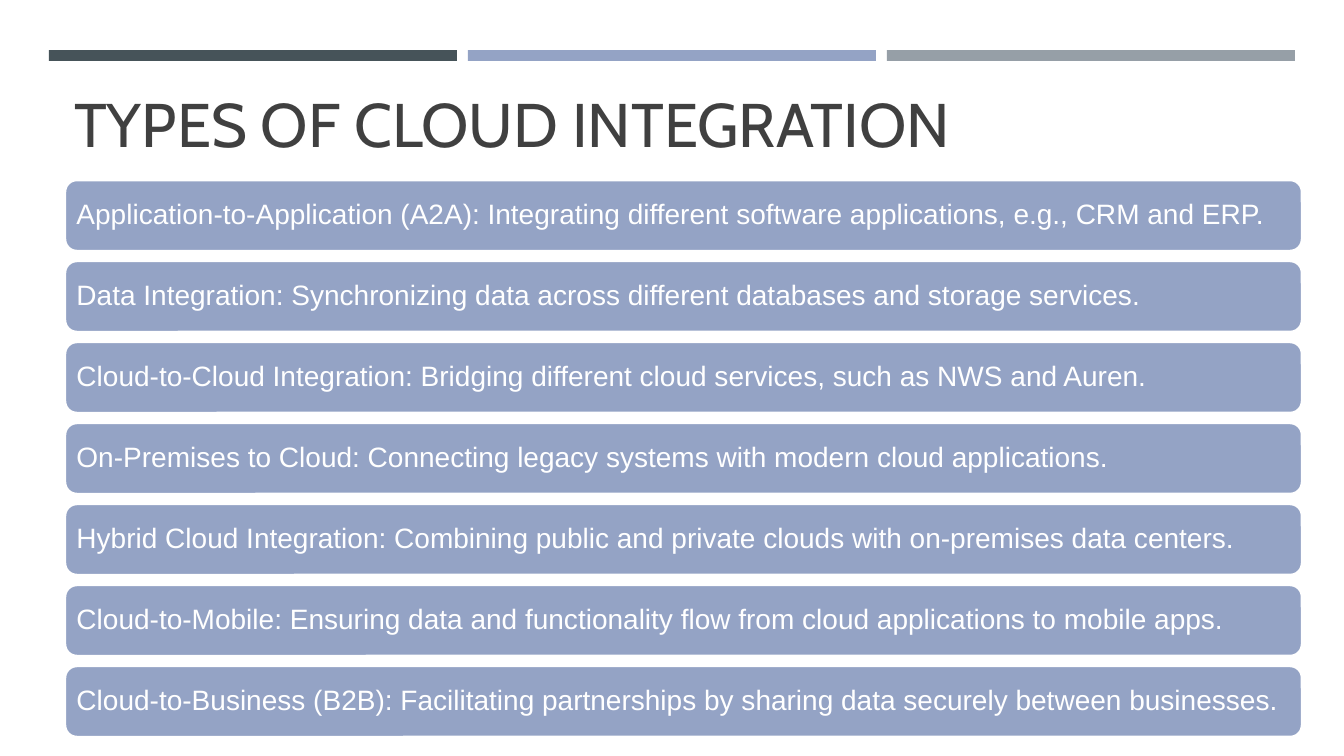
from pptx import Presentation
from pptx.dml.color import RGBColor
from pptx.enum.shapes import MSO_SHAPE as SHAPE
from pptx.enum.text import MSO_ANCHOR as ANCHOR, MSO_AUTO_SIZE as AUTO, PP_ALIGN as ALIGN
from pptx.util import Pt

SLATE = RGBColor(0x46, 0x53, 0x59)
BLUE = RGBColor(0x94, 0xA3, 0xC5)
GREY = RGBColor(0x96, 0x9F, 0xA7)
INK = RGBColor(0x40, 0x40, 0x40)
WHITE = RGBColor(0xFF, 0xFF, 0xFF)

TITLE = "TYPES OF CLOUD INTEGRATION"
TYPES = [
    "Application-to-Application (A2A): Integrating different software applications, e.g., CRM and ERP.",
    "Data Integration: Synchronizing data across different databases and storage services.",
    "Cloud-to-Cloud Integration: Bridging different cloud services, such as NWS and Auren.",
    "On-Premises to Cloud: Connecting legacy systems with modern cloud applications.",
    "Hybrid Cloud Integration: Combining public and private clouds with on-premises data centers.",
    "Cloud-to-Mobile: Ensuring data and functionality flow from cloud applications to mobile apps.",
    "Cloud-to-Business (B2B): Facilitating partnerships by sharing data securely between businesses.",
]
STRIPES = [SLATE, BLUE, GREY]

PX = 9071  # EMU per px
SLIDE_W, SLIDE_H = 1344, 756
STRIPE_X, STRIPE_Y, STRIPE_W, STRIPE_H, STRIPE_PITCH = 49, 50, 408, 11, 419
TITLE_BOX = (65, 78, 1216, 131)
CARD_X, CARD_Y, CARD_W, CARD_H, CARD_PITCH = 65, 180, 1237, 71, 81


def px(*values):
    return [v * PX for v in values]


def add_box(slide, kind, box, fill):
    sp = slide.shapes.add_shape(kind, *px(*box))
    sp.shadow.inherit = False
    sp.fill.solid()
    sp.fill.fore_color.rgb = fill
    sp.line.fill.background()
    return sp


def write(sp, text, font, size, color, anchor, insets):
    """Put one left-aligned paragraph in sp; insets are left, top, right, bottom."""
    tf = sp.text_frame
    left, top, right, bottom = px(*insets)
    frame = dict(word_wrap=True, auto_size=AUTO.NONE, vertical_anchor=anchor,
                 margin_left=left, margin_top=top, margin_right=right, margin_bottom=bottom)
    for name, value in frame.items():
        setattr(tf, name, value)
    p = tf.paragraphs[0]
    p.alignment, p.line_spacing = ALIGN.LEFT, 0.9
    r = p.add_run()
    r.text = text
    for name, value in dict(name=font, size=Pt(size), bold=False).items():
        setattr(r.font, name, value)
    r.font.color.rgb = color


def main():
    prs = Presentation()
    prs.slide_width, prs.slide_height = px(SLIDE_W, SLIDE_H)
    slide = prs.slides.add_slide(prs.slide_layouts[5])

    for i, color in enumerate(STRIPES):
        box = (STRIPE_X + i * STRIPE_PITCH, STRIPE_Y, STRIPE_W, STRIPE_H)
        add_box(slide, SHAPE.RECTANGLE, box, color)

    title = slide.shapes.title
    title.left, title.top, title.width, title.height = px(*TITLE_BOX)
    write(title, TITLE, "Cabin", 44, INK, ANCHOR.BOTTOM, (9, 5, 9, 48))

    for i, text in enumerate(TYPES):
        box = (CARD_X, CARD_Y + i * CARD_PITCH, CARD_W, CARD_H)
        card = add_box(slide, SHAPE.ROUNDED_RECTANGLE, box, BLUE)
        card.line.color.rgb = WHITE
        card.line.width = Pt(1.75)
        write(card, text, "Arial", 20, WHITE, ANCHOR.MIDDLE, (8, 8, 8, 8))

    prs.save("out.pptx")


if __name__ == "__main__":
    main()
